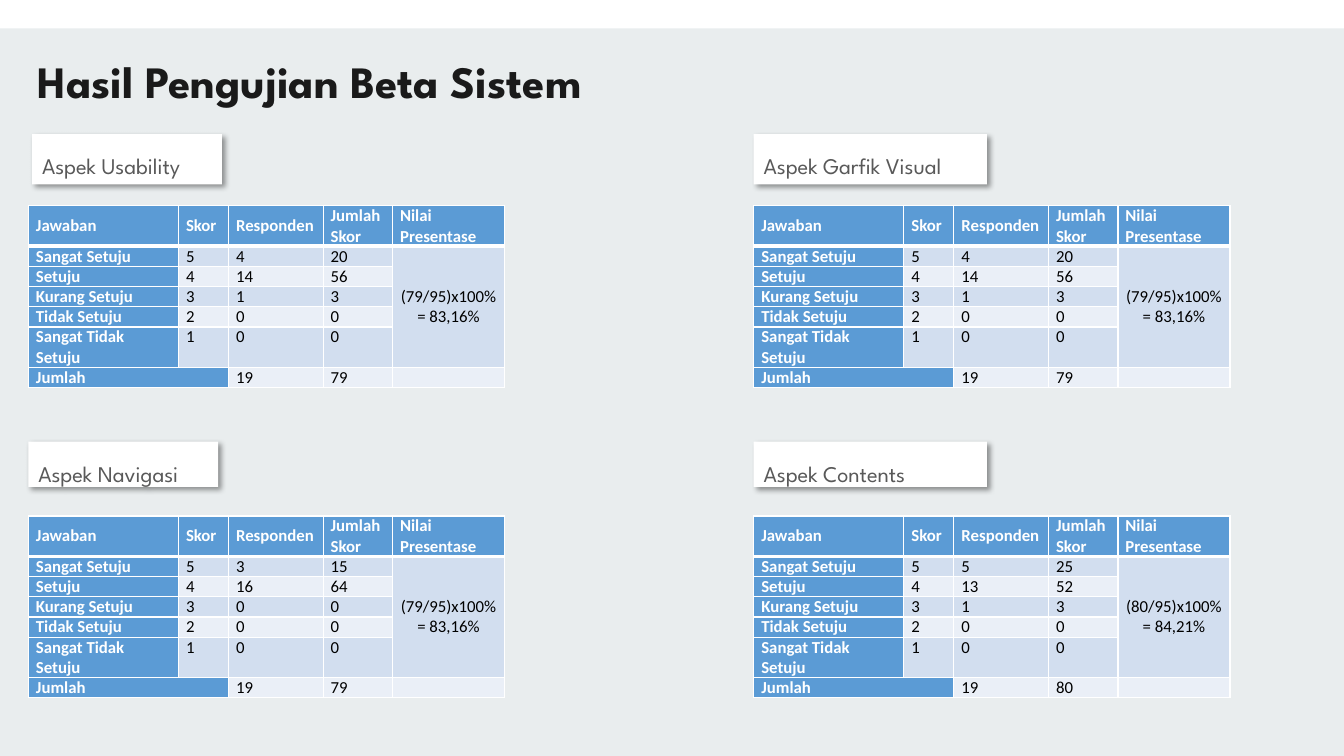
from dataclasses import dataclass

from lxml.etree import SubElement
from pptx import Presentation
from pptx.dml.color import RGBColor as Color
from pptx.enum.shapes import MSO_SHAPE as Shape
from pptx.enum.text import MSO_ANCHOR as Anchor, PP_ALIGN as Align
from pptx.oxml.ns import qn
from pptx.util import Pt


@dataclass(frozen=True)
class Theme:
    """Colours, fonts and type sizes of the slide."""
    backdrop: str = "E9EDEE"
    white: str = "FFFFFF"
    black: str = "000000"
    heading: str = "1A1A1A"
    label: str = "595959"
    blue: str = "5B9BD5"
    bands: tuple = ("EAEFF7", "D2DEEF")
    display_font: str = "League Spartan"
    table_font: str = "Calibri"
    title_size: int = 32
    label_size: int = 16
    table_size: int = 12


class SurveyPage:
    """Draws the elements of a survey result slide."""

    column_widths = (107.2, 35.8, 67.6, 49.6, 80)
    row_heights = (28.8, 14.4, 14.4, 14.4, 14.4, 28.8, 14.4)
    headers = ("Jawaban", "Skor", "Responden", "Jumlah Skor", "Nilai Presentase")
    answers = ("Sangat Setuju", "Setuju", "Kurang Setuju", "Tidak Setuju",
               "Sangat Tidak Setuju")

    def __init__(self, deck, theme):
        self.theme = theme
        self.page = deck.slides.add_slide(deck.slide_layouts[6])
        fill = self.page.background.fill
        fill.solid()
        fill.fore_color.rgb = Color.from_string(theme.backdrop)

    def style(self, para, font, size, color, bold=False):
        """Format every run of a paragraph."""
        for span in para.runs:
            span.font.name = font
            span.font.size = Pt(size)
            span.font.bold = bold
            span.font.color.rgb = Color.from_string(color)

    def title(self, text, left, top, width, height):
        """Add the slide heading."""
        box = self.page.shapes.add_textbox(Pt(left), Pt(top), Pt(width), Pt(height))
        box.text_frame.word_wrap = False
        box.text_frame.text = text
        self.style(box.text_frame.paragraphs[0], self.theme.display_font,
                   self.theme.title_size, self.theme.heading, True)

    def panel(self, left, top, width, height):
        """Add a plain white rectangle."""
        box = self.page.shapes.add_shape(
            Shape.RECTANGLE, Pt(left), Pt(top), Pt(width), Pt(height))
        box.shadow.inherit = False
        box.fill.solid()
        box.fill.fore_color.rgb = Color.from_string(self.theme.white)
        box.line.fill.background()
        return box

    def label(self, text, left, top, width, height):
        """Add a white caption card with a soft shadow."""
        box = self.panel(left, top, width, height)
        effects = box._element.spPr.find(qn("a:effectLst"))
        shadow = SubElement(effects, qn("a:outerShdw"), blurRad=str(Pt(4)),
                            dist=str(Pt(3)), dir="2700000", algn="tl", rotWithShape="0")
        tint = SubElement(shadow, qn("a:srgbClr"), val=self.theme.black)
        SubElement(tint, qn("a:alpha"), val="40000")
        frame = box.text_frame
        frame.word_wrap = True
        frame.vertical_anchor = Anchor.TOP
        frame.text = text
        para = frame.paragraphs[0]
        para.alignment = Align.JUSTIFY
        para.line_spacing = 1.5
        self.style(para, self.theme.display_font, self.theme.label_size, self.theme.label)

    def borders(self, cell, top, bottom):
        """Give a cell white borders of the given top and bottom widths."""
        props = cell._tc.get_or_add_tcPr()
        sides = (("a:lnL", 1), ("a:lnR", 1), ("a:lnT", top), ("a:lnB", bottom))
        for tag, width in sides:
            line = SubElement(props, qn(tag), w=str(Pt(width)))
            fill = SubElement(line, qn("a:solidFill"))
            SubElement(fill, qn("a:srgbClr"), val=self.theme.white)

    def cell(self, cell, text, row, column):
        """Fill and format one table cell."""
        theme = self.theme
        strong = row == 0 or column == 0
        self.borders(cell, 3 if row == 1 else 1, 3 if row == 0 else 1)
        cell.fill.solid()
        cell.fill.fore_color.rgb = Color.from_string(
            theme.blue if strong else theme.bands[row % 2])
        cell.margin_left = cell.margin_right = Pt(5.4)
        cell.margin_top = cell.margin_bottom = 0
        para = cell.text_frame.paragraphs[0]
        if text:
            para.text = text
            self.style(para, theme.table_font, theme.table_size,
                       theme.white if strong else theme.black, strong)
        else:
            SubElement(para._p, qn("a:endParaRPr"), sz=str(theme.table_size * 100))
        if row == 0:
            cell.vertical_anchor = Anchor.MIDDLE

    def table(self, counts, left, top):
        """Add a score table worked out from the respondents per answer."""
        scores = range(5, 0, -1)
        points = [score * count for score, count in zip(scores, counts)]
        total, best = sum(points), 5 * sum(counts)
        share = f"{100 * total / best:.2f}".replace(".", ",")
        rows = [self.headers]
        rows += [(*entry, "") for entry in zip(self.answers, scores, counts, points)]
        rows[1] = (*rows[1][:4], f"({total}/{best})x100%= {share}%")
        rows.append(("Jumlah", "", sum(counts), total, ""))

        grid = self.page.shapes.add_table(
            len(rows), len(self.headers), Pt(left), Pt(top),
            Pt(sum(self.column_widths)), Pt(sum(self.row_heights))).table
        grid.first_row = grid.horz_banding = False
        for column, width in zip(grid.columns, self.column_widths):
            column.width = Pt(width)
        for row, height in zip(grid.rows, self.row_heights):
            row.height = Pt(height)
        for r, values in enumerate(rows):
            for c, value in enumerate(values):
                self.cell(grid.cell(r, c), str(value), r, c)
        result = grid.cell(1, 4)
        result.merge(grid.cell(5, 4))
        result.vertical_anchor = Anchor.MIDDLE
        result.text_frame.paragraphs[0].alignment = Align.CENTER
        grid.cell(6, 0).merge(grid.cell(6, 1))


def main():
    """Build and save the slide."""
    deck = Presentation()
    deck.slide_width, deck.slide_height = Pt(960), Pt(540)
    survey = SurveyPage(deck, Theme())
    survey.title("Hasil Pengujian Beta Sistem", 20, 34.5, 440.6, 46)
    survey.panel(0, 0, 960, 20.2)

    left, right, upper, lower = 20.3, 538.4, 147, 368.6
    aspects = (
        ("Aspek Usability", (4, 14, 1, 0, 0), left, upper, (23, 95.8, 135.6, 36)),
        ("Aspek Navigasi", (3, 16, 0, 0, 0), left, lower, (left, 315.4, 135.6, 32.4)),
        ("Aspek Garfik Visual", (4, 14, 1, 0, 0), right, upper, (right, 95.8, 166.5, 36)),
        ("Aspek Contents", (5, 13, 1, 0, 0), right, lower, (right, 315.4, 166.5, 32.4)),
    )
    for name, counts, x, y, card in aspects:
        survey.label(name, *card)
        survey.table(counts, x, y)
    deck.save("out.pptx")


if __name__ == "__main__":
    main()
